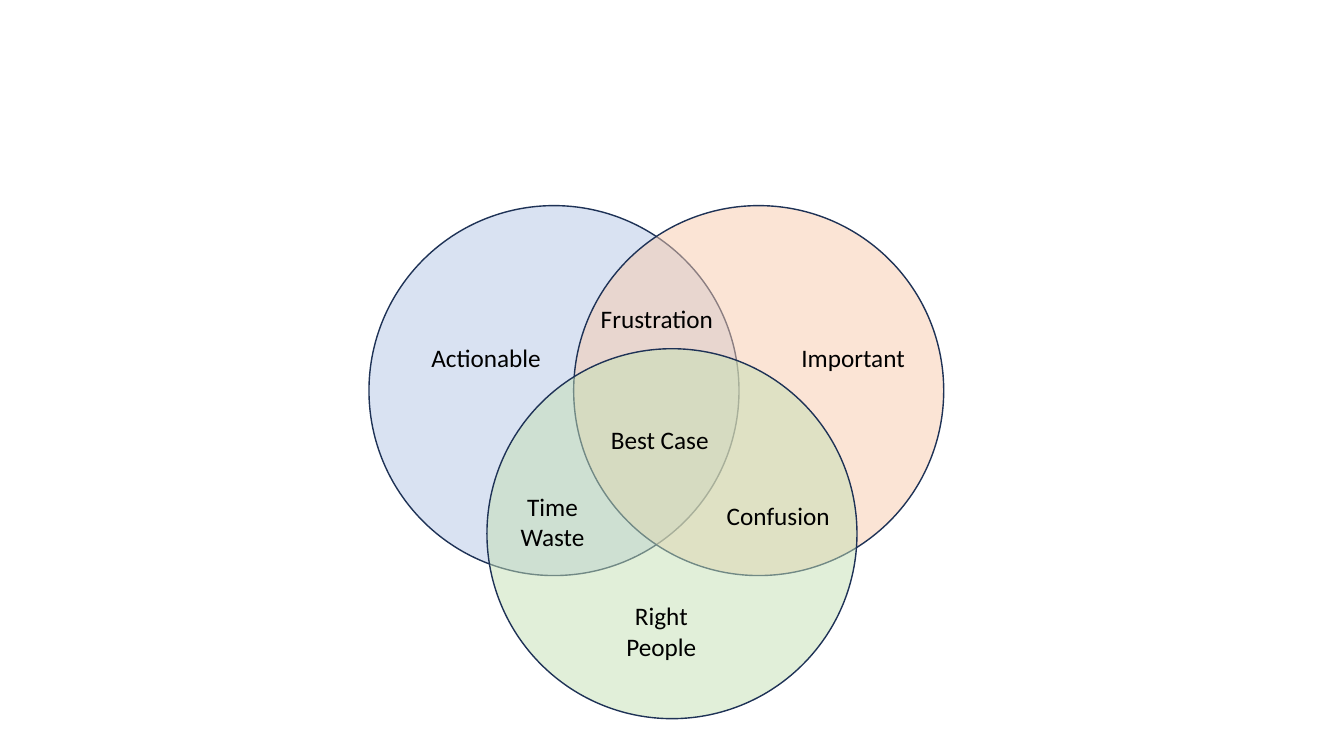
from dataclasses import dataclass

from lxml import etree
from pptx import Presentation
from pptx.dml.color import RGBColor
from pptx.enum import shapes, text
from pptx.oxml import ns
from pptx.slide import Slide
from pptx.util import Inches, Pt


@dataclass(frozen=True)
class Theme:
    font: str = "Calibri"
    size: int = 18
    ink: str = "000000"
    outline: str = "1E3256"
    blue: str = "B4C7E7"
    orange: str = "F8CBAD"
    green: str = "C5E0B4"
    opacity: int = 50


@dataclass(frozen=True)
class Circle:
    left: float
    top: float
    color: str


@dataclass(frozen=True)
class Label:
    lines: tuple[str, ...]
    left: float
    top: float
    width: float


THEME = Theme()
DIAMETER = 3.67
LABEL_HEIGHTS = {1: 0.4, 2: 0.71}

CIRCLES = (
    Circle(3.66, 2.04, THEME.blue),
    Circle(5.69, 2.04, THEME.orange),
    Circle(4.83, 3.46, THEME.green),
)

LABELS = (
    Label(("Actionable",), 4.18, 3.35, 1.3),
    Label(("Important",), 7.85, 3.35, 1.24),
    Label(("Right", "People"), 6.11, 5.91, 0.9),
    Label(("Time", "Waste"), 5.06, 4.82, 0.84),
    Label(("Confusion",), 7.11, 4.91, 1.23),
    Label(("Frustration",), 5.86, 2.96, 1.33),
    Label(("Best Case",), 5.96, 4.16, 1.18),
)


def add_circle(s: Slide, circle: Circle) -> None:
    sp = s.shapes.add_shape(
        shapes.MSO_SHAPE.OVAL,
        Inches(circle.left), Inches(circle.top), Inches(DIAMETER), Inches(DIAMETER),
    )
    sp.shadow.inherit = False
    sp.fill.solid()
    sp.fill.fore_color.rgb = RGBColor.from_string(circle.color)
    color = sp._element.spPr.find(ns.qn("a:solidFill")).find(ns.qn("a:srgbClr"))
    etree.SubElement(color, ns.qn("a:alpha")).set("val", str(THEME.opacity * 1000))
    sp.line.color.rgb = RGBColor.from_string(THEME.outline)
    sp.line.width = Pt(1)


def add_label(s: Slide, label: Label) -> None:
    sp = s.shapes.add_textbox(
        Inches(label.left), Inches(label.top),
        Inches(label.width), Inches(LABEL_HEIGHTS[len(label.lines)]),
    )
    tf = sp.text_frame
    tf.word_wrap = False
    tf.auto_size = text.MSO_AUTO_SIZE.SHAPE_TO_FIT_TEXT
    tf.text = "\n".join(label.lines)
    for p in tf.paragraphs:
        if len(label.lines) > 1:
            p.alignment = text.PP_ALIGN.CENTER
        p.font.name = THEME.font
        p.font.size = Pt(THEME.size)
        p.font.color.rgb = RGBColor.from_string(THEME.ink)


def main() -> None:
    prs = Presentation()
    prs.slide_width = Inches(13.33)
    prs.slide_height = Inches(7.5)
    s = prs.slides.add_slide(prs.slide_layouts[6])
    for circle in CIRCLES:
        add_circle(s, circle)
    for label in LABELS:
        add_label(s, label)
    prs.save("out.pptx")


if __name__ == "__main__":
    main()
